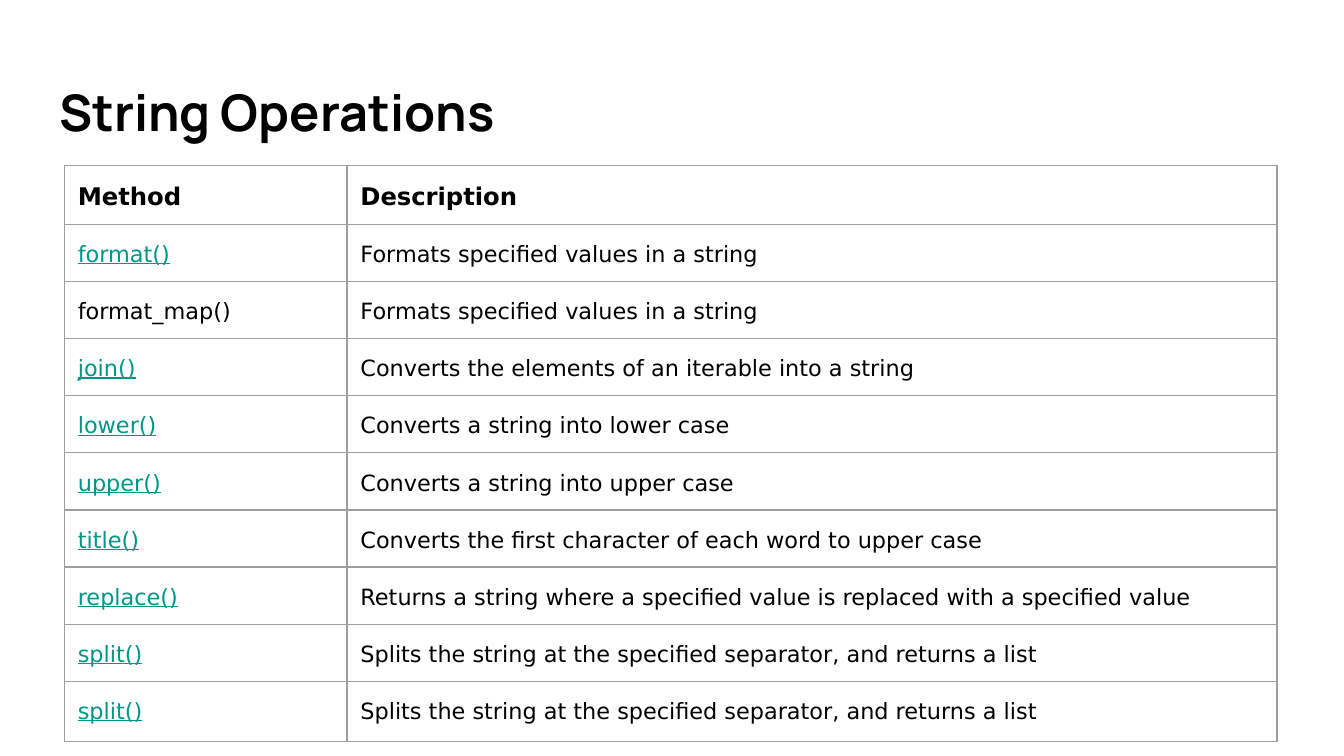
"""Build the String Operations slide with its table of methods."""
import pptx
import pptx.dml.color
import pptx.enum.text
import pptx.oxml
import pptx.oxml.ns
import pptx.util

Pt = pptx.util.Pt
BLACK = pptx.dml.color.RGBColor(0x00, 0x00, 0x00)
TEAL = pptx.dml.color.RGBColor(0x00, 0x96, 0x88)
GREY = pptx.dml.color.RGBColor(0x9E, 0x9E, 0x9E)

SPLIT = ("split()", "Splits the string at the specified separator, and returns a list")
ROWS = [
    ("Method", "Description"),
    ("format()", "Formats specified values in a string"),
    ("format_map()", "Formats specified values in a string"),
    ("join()", "Converts the elements of an iterable into a string"),
    ("lower()", "Converts a string into lower case"),
    ("upper()", "Converts a string into upper case"),
    ("title()", "Converts the first character of each word to upper case"),
    ("replace()", "Returns a string where a specified value is replaced with a specified value"),
    SPLIT,
    SPLIT,
]
PLAIN = ("Method", "format_map()")


def add_run(frame, text, face, size, color, bold):
    run = frame.paragraphs[0].add_run()
    run.text = text
    run.font.name = face
    run.font.size = Pt(size)
    run.font.color.rgb = color
    run.font.bold = bold
    return run


def add_edges(cell):
    props = cell._tc.get_or_add_tcPr()
    space = pptx.oxml.ns.nsdecls("a")
    for place, side in enumerate("LRTB"):
        edge = pptx.oxml.parse_xml(
            f'<a:ln{side} {space} w="{Pt(0.75)}"><a:solidFill>'
            f'<a:srgbClr val="{GREY}"/></a:solidFill></a:ln{side}>'
        )
        props.insert(place, edge)


deck = pptx.Presentation()
deck.slide_width = Pt(720)
deck.slide_height = Pt(405)
slide = deck.slides.add_slide(deck.slide_layouts[5])

title = slide.shapes.title
title.left, title.top, title.width, title.height = Pt(24.5), Pt(35), Pt(671), Pt(49)
frame = title.text_frame
frame.margin_left = frame.margin_right = frame.margin_top = frame.margin_bottom = Pt(7.2)
frame.auto_size = pptx.enum.text.MSO_AUTO_SIZE.NONE
frame.vertical_anchor = pptx.enum.text.MSO_ANCHOR.MIDDLE
frame.paragraphs[0].alignment = pptx.enum.text.PP_ALIGN.LEFT
add_run(frame, "String Operations", "Manrope", 27, BLACK, True)

table = slide.shapes.add_table(len(ROWS), 2, Pt(34.5), Pt(88.6), Pt(649.6), Pt(302.4)).table
table.first_row = False
table.horz_banding = False
table.columns[0].width = Pt(151.4)
table.columns[1].width = Pt(498.2)
for row in table.rows:
    row.height = Pt(30.24)
table.rows[len(ROWS) - 1].height = Pt(32.4)

for y, texts in enumerate(ROWS):
    for x, text in enumerate(texts):
        cell = table.cell(y, x)
        cell.margin_left = cell.margin_right = cell.margin_top = cell.margin_bottom = Pt(7.2)
        cell.fill.background()
        add_edges(cell)
        cell.text_frame.paragraphs[0].line_spacing = 1.15
        head = y == 0
        link = x == 0 and text not in PLAIN
        color = TEAL if link else BLACK
        run = add_run(cell.text_frame, text, "DejaVu Sans", 13 if head else 12, color, head)
        run.font.underline = link

deck.save("out.pptx")
